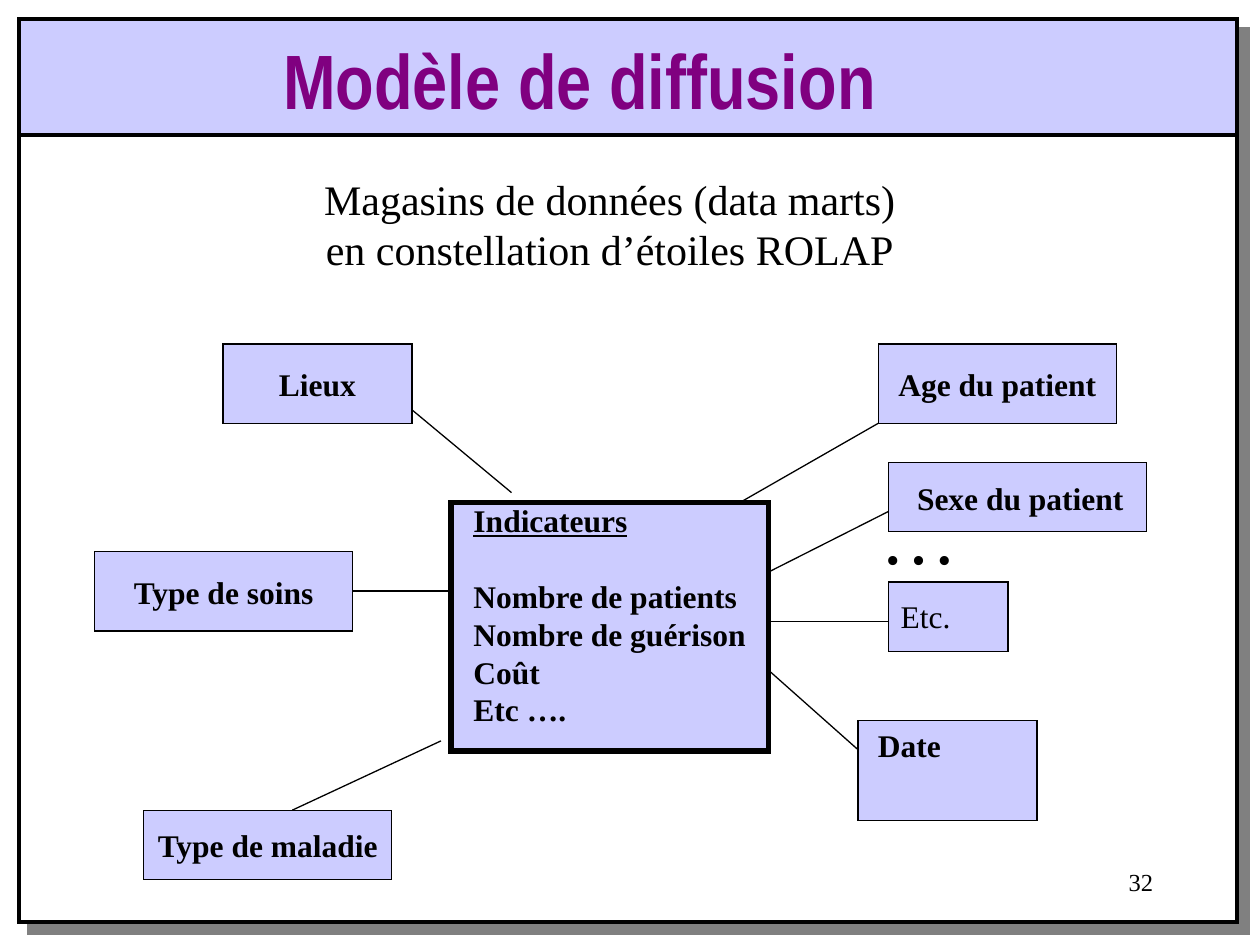
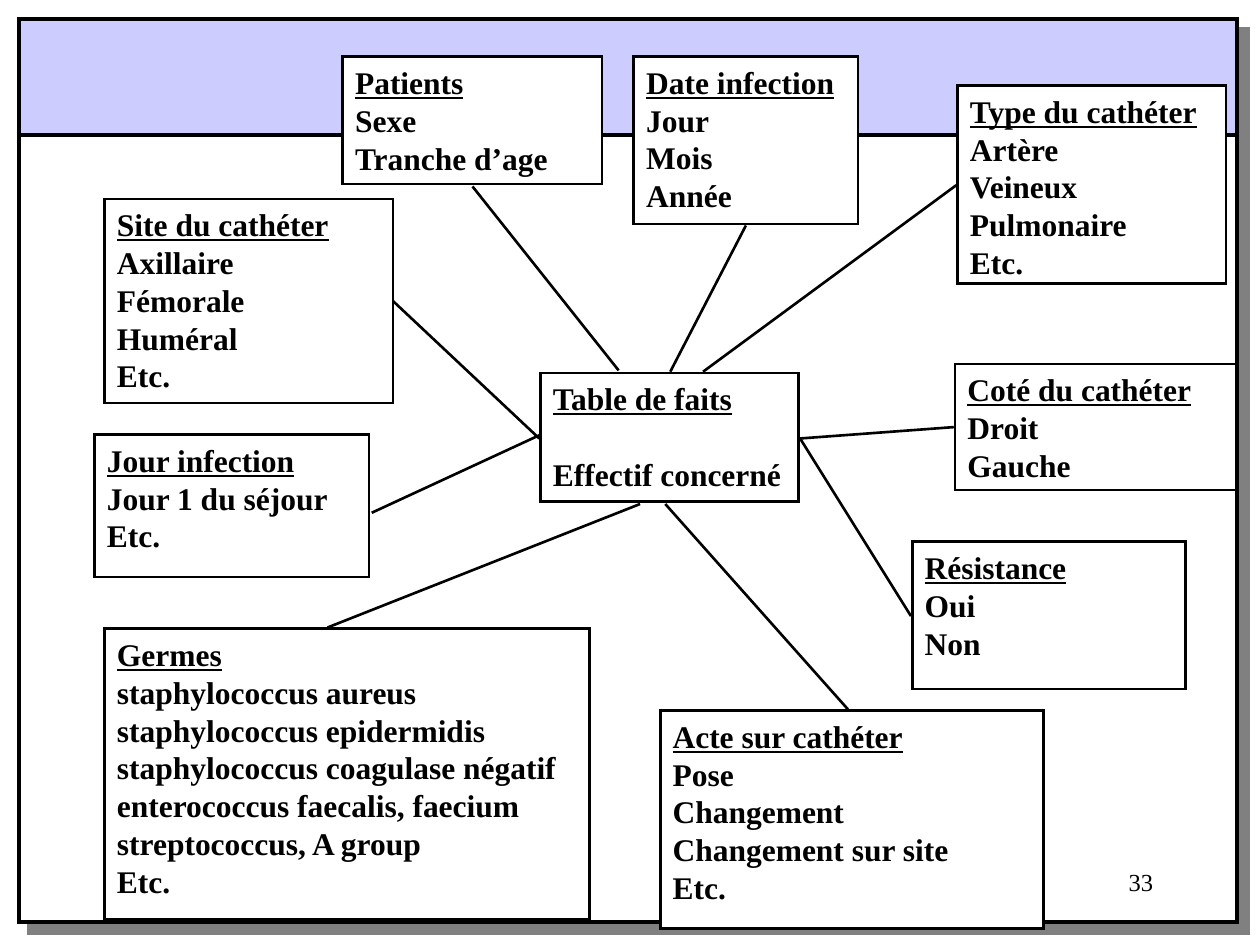
"""Build two slides on star-shaped data marts for health care."""
from dataclasses import dataclass
from typing import Optional

from lxml.etree import SubElement
from pptx import Presentation
from pptx.dml.color import RGBColor
from pptx.enum.shapes import MSO_CONNECTOR, MSO_SHAPE
from pptx.enum.text import MSO_ANCHOR, PP_ALIGN
from pptx.oxml.ns import qn
from pptx.slide import Slide
from pptx.util import Inches, Pt

HUES = {
    "ink": "000000",
    "paper": "FFFFFF",
    "band": "CCCCFF",
    "title": "800080",
    "shade": "808080",
}
SERIF = "Times New Roman"
NARROW = "Arial Narrow"


@dataclass
class Box:
    left: float
    top: float
    width: float
    height: float
    lines: tuple[str, ...] = ()
    fill: Optional[str] = None
    weight: float = 0.75
    size: float = 18
    bold: bool = True
    font: str = SERIF
    hue: str = "ink"
    align: PP_ALIGN = PP_ALIGN.LEFT
    anchor: MSO_ANCHOR = MSO_ANCHOR.TOP
    wrap: bool = False
    headed: bool = False
    gap: float = 0


@dataclass
class Link:
    left: float
    top: float
    right: float
    bottom: float
    weight: float = 0.75


def tint(name: str) -> RGBColor:
    return RGBColor.from_string(HUES[name])


def draw_box(slide: Slide, box: Box):
    area = [Inches(n) for n in (box.left, box.top, box.width, box.height)]
    if box.fill:
        shape = slide.shapes.add_shape(MSO_SHAPE.RECTANGLE, *area)
        shape.shadow.inherit = False
        shape.fill.solid()
        shape.fill.fore_color.rgb = tint(box.fill)
        shape.line.color.rgb = tint("ink")
        shape.line.width = Pt(box.weight)
        SubElement(shape._element.spPr.find(qn("a:ln")), qn("a:miter"), lim="800000")
    else:
        shape = slide.shapes.add_textbox(*area)
    if box.lines:
        write_text(shape.text_frame, box)
    return shape


def write_text(frame, box: Box) -> None:
    frame.text = "\n".join(box.lines)
    frame.word_wrap = box.wrap
    frame.vertical_anchor = box.anchor
    for place, para in enumerate(frame.paragraphs):
        para.alignment = box.align
        if place == 1 and box.gap:
            para.space_before = Pt(box.gap)
        for run in para.runs:
            run.font.name = box.font
            run.font.size = Pt(box.size)
            run.font.bold = box.bold
            run.font.underline = box.headed and place == 0
            run.font.color.rgb = tint(box.hue)


def draw_link(slide: Slide, link: Link) -> None:
    ends = [Inches(n) for n in (link.left, link.top, link.right, link.bottom)]
    line = slide.shapes.add_connector(MSO_CONNECTOR.STRAIGHT, *ends)
    line.line.color.rgb = tint("ink")
    line.line.width = Pt(link.weight)
    SubElement(line._element.spPr, qn("a:effectLst"))


def cast_shade(shape) -> None:
    effects = shape._element.spPr.find(qn("a:effectLst"))
    shade = SubElement(effects, qn("a:outerShdw"), dist=str(Pt(8.5)),
                       dir="2700000", algn="ctr", rotWithShape="0")
    SubElement(shade, qn("a:srgbClr"), val=HUES["shade"])


def add_page(deck, number: int) -> Slide:
    slide = deck.slides.add_slide(deck.slide_layouts[6])
    cast_shade(draw_box(slide, Box(0.15, 0.15, 9.67, 7.17, fill="paper", weight=2.25)))
    draw_link(slide, Link(0.16, 1.07, 9.8, 1.07, 2.25))
    draw_box(slide, Box(0.15, 0.15, 9.67, 0.92, fill="band", weight=2.25))
    draw_box(slide, Box(7.17, 6.83, 2.08, 0.5, (str(number),), size=14,
                        bold=False, align=PP_ALIGN.RIGHT, wrap=True))
    return slide


def theme(left: float, top: float, width: float, height: float, *lines: str) -> Box:
    return Box(left, top, width, height, lines, "band",
               align=PP_ALIGN.CENTER, anchor=MSO_ANCHOR.MIDDLE)


def table(left: float, top: float, width: float, height: float,
          *lines: str, gap: float = 0) -> Box:
    return Box(left, top, width, height, lines, "paper", 1.5,
               wrap=True, headed=True, gap=gap)


MODEL = [
    Box(0.59, 1.15, 8.5, 1.25,
        ("Magasins de données (data marts)", "en constellation d’étoiles ROLAP"),
        size=24, bold=False, align=PP_ALIGN.CENTER,
        anchor=MSO_ANCHOR.MIDDLE, wrap=True),
    Box(3.58, 3.99, 2.52, 1.97, fill="band", weight=3),
    theme(1.77, 2.73, 1.5, 0.63, "Lieux"),
    theme(6.97, 2.73, 1.89, 0.63, "Age du patient"),
    theme(1.14, 6.43, 1.97, 0.55, "Type de maladie"),
    theme(0.75, 4.38, 2.05, 0.63, "Type de soins"),
    theme(6.81, 5.72, 1.42, 0.79),
    theme(7.05, 3.67, 2.05, 0.55),
    theme(7.05, 4.62, 0.95, 0.55),
    Box(3.66, 3.93, 2.36, 2.8,
        ("Indicateurs", "Nombre de patients", "Nombre de guérison", "Coût", "Etc …."),
        headed=True, gap=21.6),
    Box(6.87, 5.71, 0.7, 0.4, ("Date",)),
    Box(7.18, 3.75, 1.84, 0.4, ("Sexe du patient",)),
    Box(7.05, 4.69, 0.7, 0.4, ("Etc.",), bold=False, wrap=True),
    Box(6.89, 3.82, 0.81, 0.84, ("…",), size=44, bold=False),
    Box(2.15, 0.21, 5.21, 1.57, ("Modèle de diffusion",), size=44,
        font=NARROW, hue="title", wrap=True),
]
MODEL_LINKS = [
    Link(4.06, 3.91, 3.11, 3.12),
    Link(3.5, 5.88, 2.32, 6.43),
    Link(6.1, 5.32, 6.81, 5.95),
    Link(6.97, 3.36, 5.87, 3.99),
    Link(6.1, 4.54, 7.05, 4.06),
    Link(3.58, 4.69, 2.8, 4.69),
    Link(6.1, 4.93, 7.05, 4.93),
]
STAR = [
    table(4.29, 2.96, 2.05, 1.02, "Table de faits", "Effectif concerné", gap=21.6),
    table(2.72, 0.45, 2.06, 1.01, "Patients", "Sexe", "Tranche d’age"),
    table(7.6, 0.68, 2.13, 1.57, "Type du cathéter",
          "Artère", "Veineux", "Pulmonaire", "Etc."),
    table(7.58, 2.89, 2.23, 1, "Coté du cathéter", "Droit", "Gauche"),
    table(5.24, 5.64, 3.04, 1.73, "Acte sur cathéter",
          "Pose", "Changement", "Changement sur site", "Etc."),
    table(0.83, 1.58, 2.29, 1.62, "Site du cathéter",
          "Axillaire", "Fémorale", "Huméral", "Etc."),
    table(7.24, 4.3, 2.17, 1.17, "Résistance", "Oui", "Non"),
    table(5.03, 0.45, 1.78, 1.33, "Date infection", "Jour", "Mois", "Année"),
    table(0.75, 3.45, 2.18, 1.13, "Jour infection", "Jour 1 du séjour", "Etc."),
    table(0.83, 4.99, 3.85, 2.31, "Germes", "staphylococcus aureus",
          "staphylococcus epidermidis", "staphylococcus coagulase négatif",
          "enterococcus faecalis, faecium", "streptococcus, A group", "Etc."),
]
STAR_LINKS = [
    Link(4.91, 2.94, 3.75, 1.48, 1.5),
    Link(5.32, 2.95, 5.92, 1.79, 1.5),
    Link(5.58, 2.95, 7.59, 1.47, 1.5),
    Link(7.57, 3.39, 6.35, 3.48, 1.5),
    Link(5.28, 4, 6.73, 5.63, 1.5),
    Link(6.35, 3.48, 7.23, 4.89, 1.5),
    Link(5.08, 4, 2.6, 4.98, 1.5),
    Link(4.29, 3.45, 2.95, 4.07, 1.5),
    Link(4.28, 3.48, 3.12, 2.39, 1.5),
]


def main() -> None:
    deck = Presentation()
    deck.slide_width, deck.slide_height = Inches(10), Inches(7.5)
    pages = [(MODEL, MODEL_LINKS), (STAR, STAR_LINKS)]
    for number, (boxes, links) in enumerate(pages, 32):
        slide = add_page(deck, number)
        for link in links:
            draw_link(slide, link)
        for box in boxes:
            draw_box(slide, box)
    deck.save("out.pptx")


if __name__ == "__main__":
    main()
